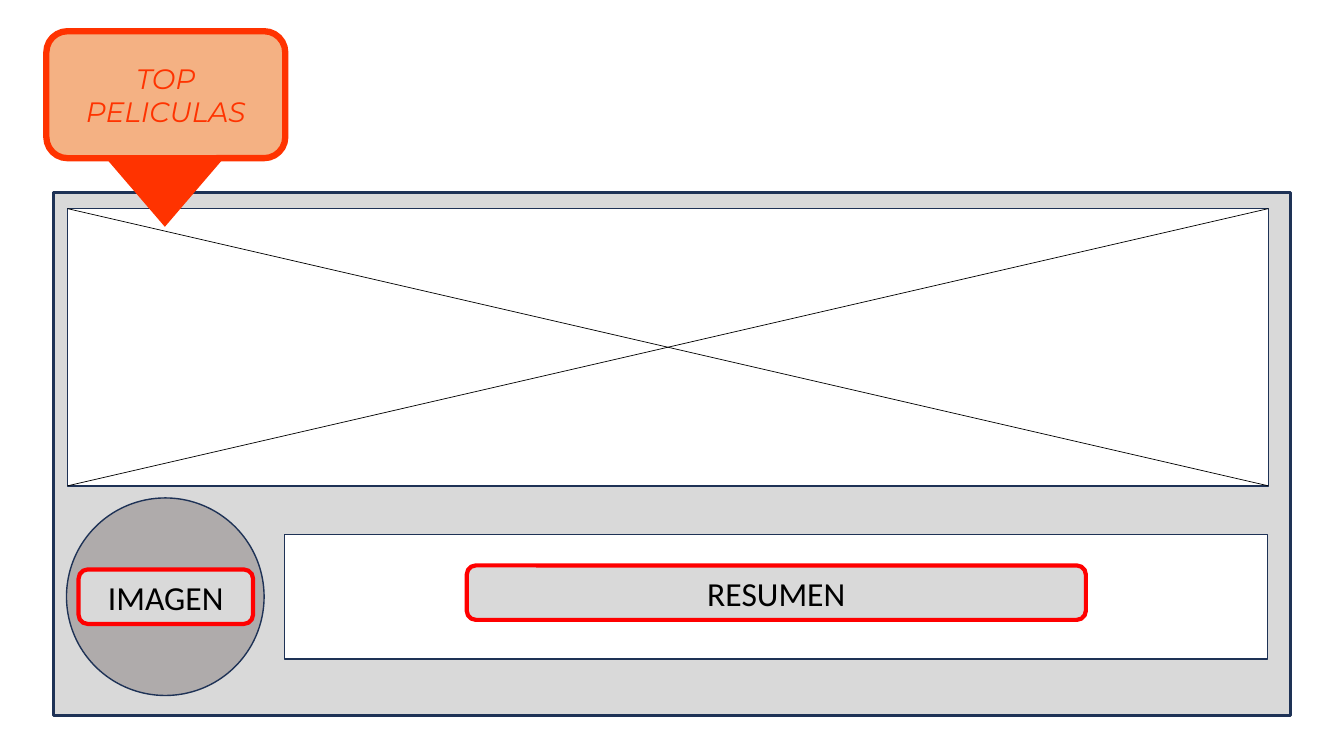
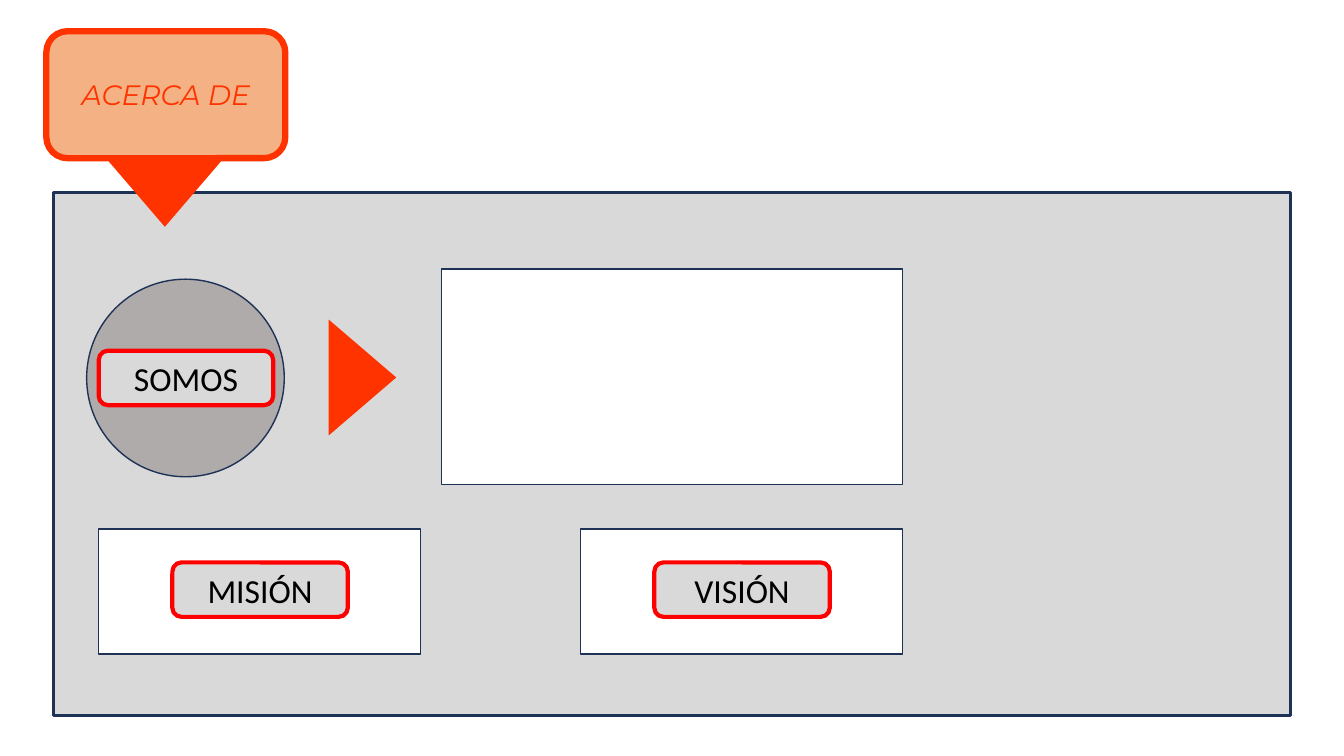
"""Build two wireframe slides: top films and about page."""
from pptx import Presentation
from pptx.dml.color import RGBColor
from pptx.enum.shapes import MSO_CONNECTOR, MSO_SHAPE
from pptx.enum.text import MSO_ANCHOR, PP_ALIGN
from pptx.oxml.ns import qn
from pptx.util import Inches, Pt
from lxml import etree

RECT, ROUND = MSO_SHAPE.RECTANGLE, MSO_SHAPE.ROUNDED_RECTANGLE
OVAL, TRIANGLE = MSO_SHAPE.OVAL, MSO_SHAPE.ISOSCELES_TRIANGLE
STRAIGHT = MSO_CONNECTOR.STRAIGHT
MIDDLE, CENTER = MSO_ANCHOR.MIDDLE, PP_ALIGN.CENTER

COLORS = {
    "white": "FFFFFF", "black": "000000", "navy": "1E3256", "grey": "D9D9D9",
    "circle": "AFABAB", "peach": "F4B183", "orange": "FF3300", "red": "FF0000",
}
CIRCLE = 1.96
POINTER = (1.15, 0.67)
LABEL_HEIGHT = 0.54
PANEL = (3.19, 1.24)

SLIDES = [
    {
        "title": "TOP PELICULAS",
        "photos": [(0.67, 2.07, 11.91, 2.75)],
        "panels": [(2.82, 5.3, 9.75, 1.24)],
        "circles": [(0.66, 4.94)],
        "pointers": [],
        "labels": [("IMAGEN", 0.78, 5.65, 1.73), ("RESUMEN", 4.63, 5.61, 6.14)],
    },
    {
        "title": "ACERCA DE",
        "photos": [],
        "panels": [(4.38, 2.67, 4.57, 2.14), (0.98, 5.25, *PANEL), (5.76, 5.25, *PANEL)],
        "circles": [(0.86, 2.77)],
        "pointers": [(3.02, 3.41, 90)],
        "labels": [("SOMOS", 0.98, 3.48, 1.73), ("MISIÓN", 1.71, 5.58, 1.74),
                   ("VISIÓN", 6.49, 5.58, 1.74)],
    },
]


def add_box(s, kind, at, fill, line=None, width=1):
    sp = s.shapes.add_shape(kind, *[Inches(v) for v in at])
    sp.shadow.inherit = False
    sp.fill.solid()
    sp.fill.fore_color.rgb = RGBColor.from_string(COLORS[fill])
    if line:
        sp.line.color.rgb = RGBColor.from_string(COLORS[line])
        sp.line.width = Pt(width)
    else:
        sp.line.fill.background()
    return sp


def add_text(sp, text, size=24, font="Calibri", color="black", italic=False):
    tf = sp.text_frame
    tf.word_wrap = True
    tf.vertical_anchor = MIDDLE
    p = tf.paragraphs[0]
    p.alignment = CENTER
    r = p.add_run()
    r.text = text
    r.font.size = Pt(size)
    r.font.name = font
    r.font.italic = italic
    r.font.color.rgb = RGBColor.from_string(COLORS[color])


prs = Presentation()
prs.slide_width, prs.slide_height = Inches(13.33), Inches(7.5)

for page in SLIDES:
    s = prs.slides.add_slide(prs.slide_layouts[6])
    add_box(s, RECT, (0.53, 1.91, 12.27, 5.19), "grey", "navy", 2.25)
    tag = add_box(s, ROUND, (0.46, 0.31, 2.37, 1.26), "peach", "orange", 4.5)
    add_text(tag, page["title"], size=20, font="Montserrat", color="orange", italic=True)

    for x, y, w, h in page["photos"]:
        add_box(s, RECT, (x, y, w, h), "white", "navy")
        for start, end in ((y, y + h), (y + h, y)):
            diagonal = s.shapes.add_connector(
                STRAIGHT, Inches(x), Inches(start), Inches(x + w), Inches(end))
            diagonal.line.color.rgb = RGBColor.from_string(COLORS["black"])
            diagonal.line.width = Pt(0.5)
            etree.SubElement(diagonal._element.spPr, qn("a:effectLst"))

    for at in page["panels"]:
        add_box(s, RECT, at, "white", "navy")
    for x, y in page["circles"]:
        add_box(s, OVAL, (x, y, CIRCLE, CIRCLE), "circle", "navy")
    for x, y, angle in [(1.06, 1.58, 180), *page["pointers"]]:
        pointer = add_box(s, TRIANGLE, (x, y, *POINTER), "orange")
        pointer.rotation = angle
    for text, x, y, w in page["labels"]:
        label = add_box(s, ROUND, (x, y, w, LABEL_HEIGHT), "grey", "red", 3)
        add_text(label, text)

prs.save("out.pptx")
